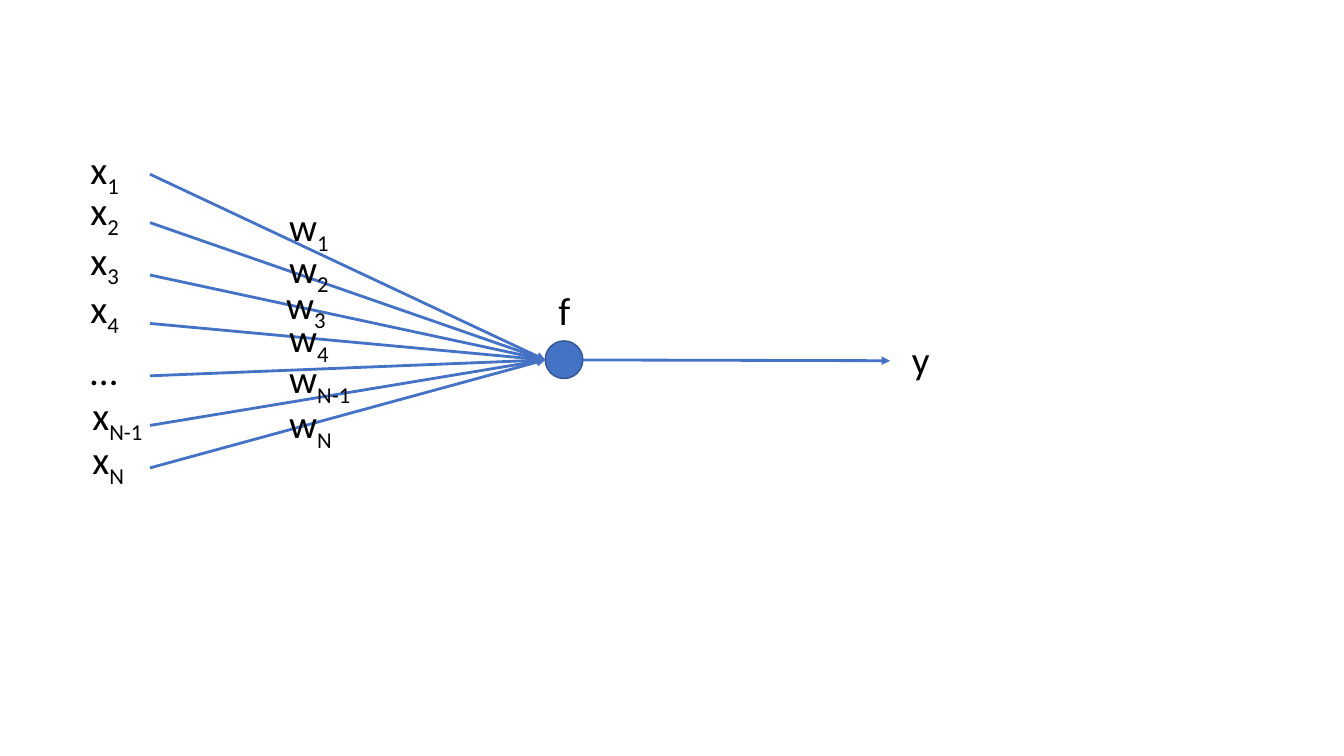
from lxml import etree
from pptx import Presentation
from pptx import util as u
from pptx.dml import color
from pptx.enum import shapes, text
from pptx.oxml import ns

BLUE, OUTLINE, BLACK = "4472C4", "325491", "000000"
LABEL_FONT = {"name": "Calibri", "size": u.Pt(28)}
LABEL_FRAME = {"word_wrap": True, "auto_size": text.MSO_AUTO_SIZE.SHAPE_TO_FIT_TEXT}
LABEL_HEIGHT = 1.45
NEURON_LEFT, NEURON_TOP, NEURON_SIZE = 13.74, 8.59, 0.95
NEURON_MIDDLE = 9.07
INPUT_EDGE = 3.78

INPUTS = [
    ("x", "1", 2.03, 3.53, 1.3, 4.39),
    ("x", "2", 2.03, 4.57, 1.3, 5.61),
    ("x", "3", 2.03, 5.82, 1.3, 6.93),
    ("x", "4", 2.03, 7.04, 1.3, 8.15),
    ("…", "", 2.03, 8.61, 1.24, 9.47),
    ("x", "N-1", 2.08, 9.73, 1.9, 10.72),
    ("x", "N", 2.08, 10.85, 1.9, 11.79),
]
WEIGHTS = [
    ("1", 7.04, 4.98, 1.57),
    ("2", 7.04, 6.02, 1.57),
    ("3", 6.96, 6.93, 1.57),
    ("4", 7.04, 7.77, 1.57),
    ("N-1", 7.04, 8.81, 2.36),
    ("N", 7.04, 9.93, 2.36),
]


def rgb(code):
    return color.RGBColor.from_string(code)


def apply(target, values):
    for key, value in values.items():
        setattr(target, key, value)


def cm(*lengths):
    return [u.Cm(length) for length in lengths]


def add_neuron(slide):
    neuron = slide.shapes.add_shape(
        shapes.MSO_SHAPE.OVAL,
        *cm(NEURON_LEFT, NEURON_TOP, NEURON_SIZE, NEURON_SIZE))
    neuron.shadow.inherit = False
    neuron.fill.solid()
    neuron.fill.fore_color.rgb = rgb(BLUE)
    neuron.line.color.rgb = rgb(OUTLINE)
    neuron.line.width = u.Pt(1)


def add_arrow(slide, start, end):
    arrow = slide.shapes.add_connector(
        shapes.MSO_CONNECTOR.STRAIGHT, *cm(*start, *end))
    arrow.line.color.rgb = rgb(BLUE)
    arrow.line.width = u.Pt(2)
    head = etree.SubElement(arrow.line._get_or_add_ln(), ns.qn("a:tailEnd"))
    head.set("type", "triangle")
    etree.SubElement(arrow._element.spPr, ns.qn("a:effectLst"))


def add_label(slide, symbol, index, left, top, width):
    label = slide.shapes.add_textbox(*cm(left, top, width, LABEL_HEIGHT))
    apply(label.text_frame, LABEL_FRAME)
    line = label.text_frame.paragraphs[0]
    for wording, baseline in ((symbol, None), (index, "-25000")):
        if not wording:
            continue
        run = line.add_run()
        run.text = wording
        apply(run.font, LABEL_FONT)
        run.font.color.rgb = rgb(BLACK)
        if baseline:
            run._r.get_or_add_rPr().set("baseline", baseline)


def main():
    deck = Presentation()
    apply(deck, {"slide_width": u.Cm(33.87), "slide_height": u.Cm(19.05)})
    slide = deck.slides.add_slide(deck.slide_layouts[6])

    add_neuron(slide)
    for *_, arrow_start in INPUTS:
        add_arrow(slide, (INPUT_EDGE, arrow_start), (NEURON_LEFT, NEURON_MIDDLE))
    add_arrow(slide, (NEURON_LEFT + NEURON_SIZE, NEURON_MIDDLE), (22.43, 9.09))

    for symbol, index, left, top, width, _ in INPUTS:
        add_label(slide, symbol, index, left, top, width)
    for index, left, top, width in WEIGHTS:
        add_label(slide, "w", index, left, top, width)
    add_label(slide, "f", "", 13.82, 7.09, 0.71)
    add_label(slide, "y", "", 22.73, 8.33, 0.97)

    deck.save("out.pptx")


main()
